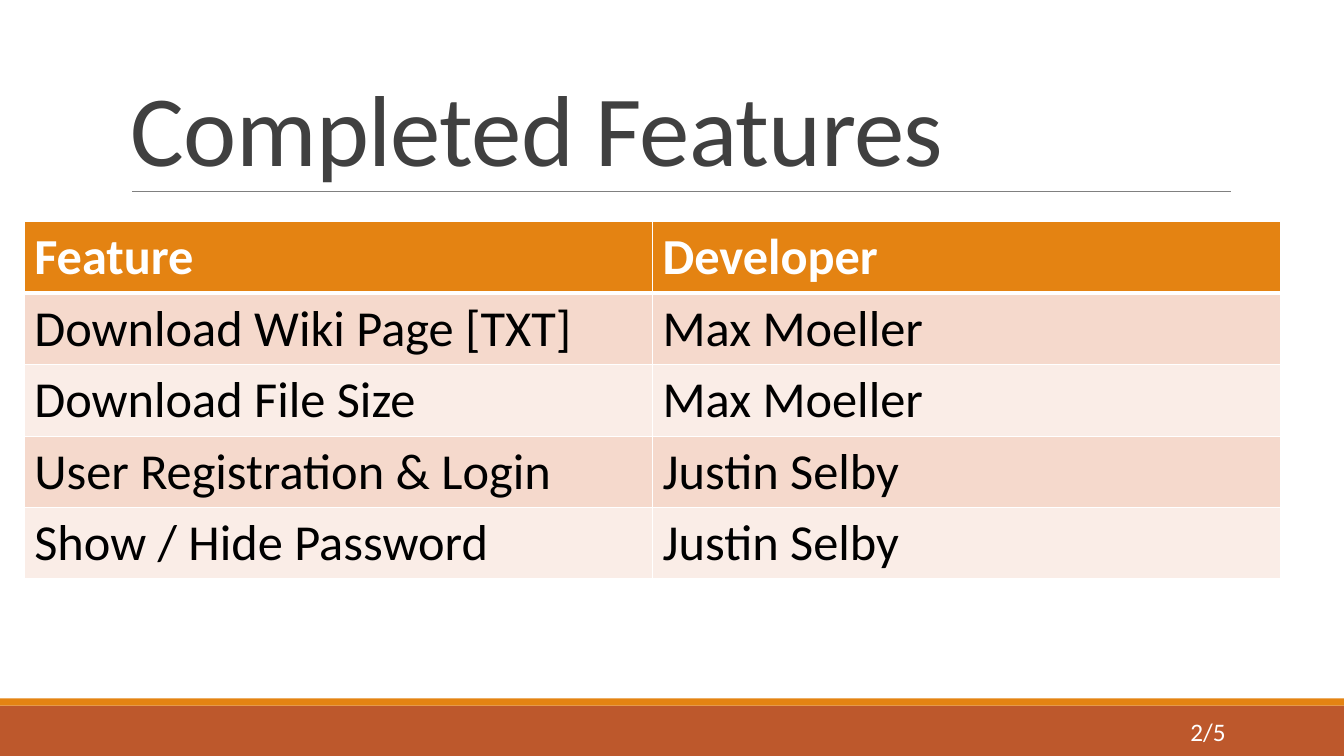
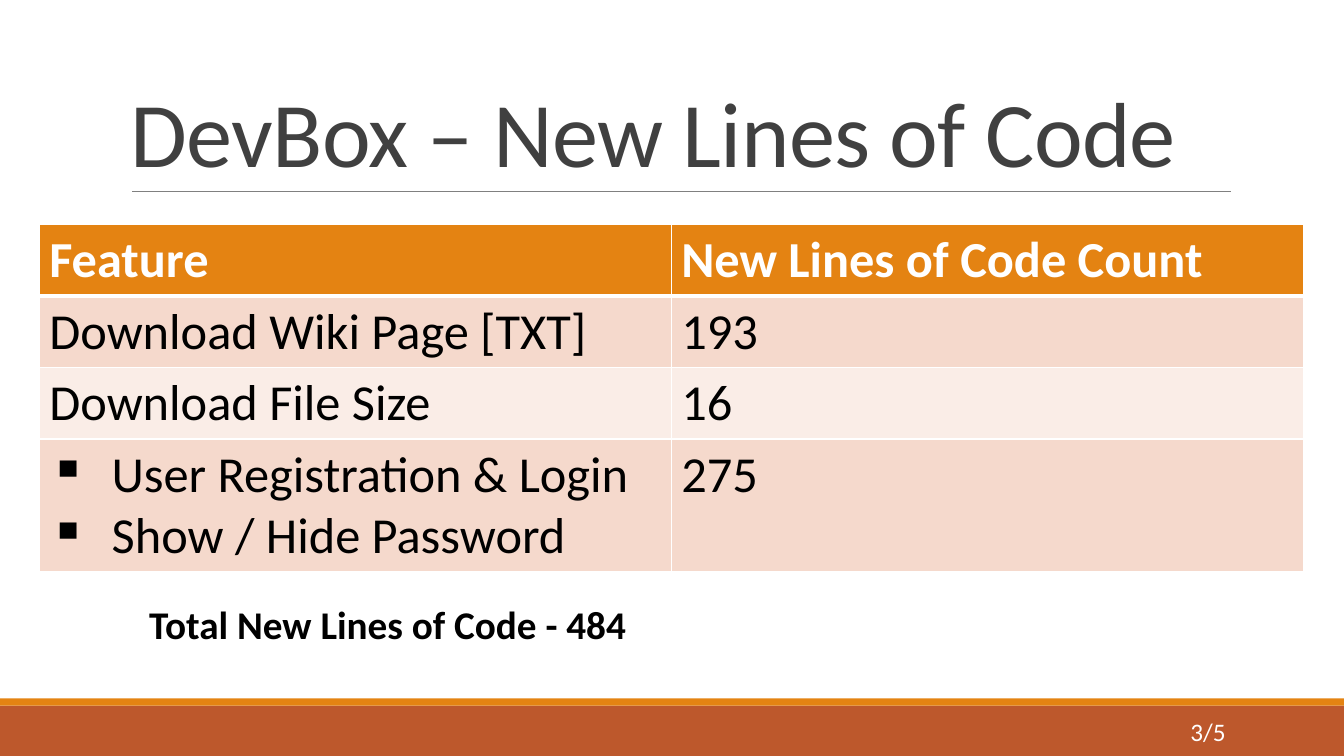
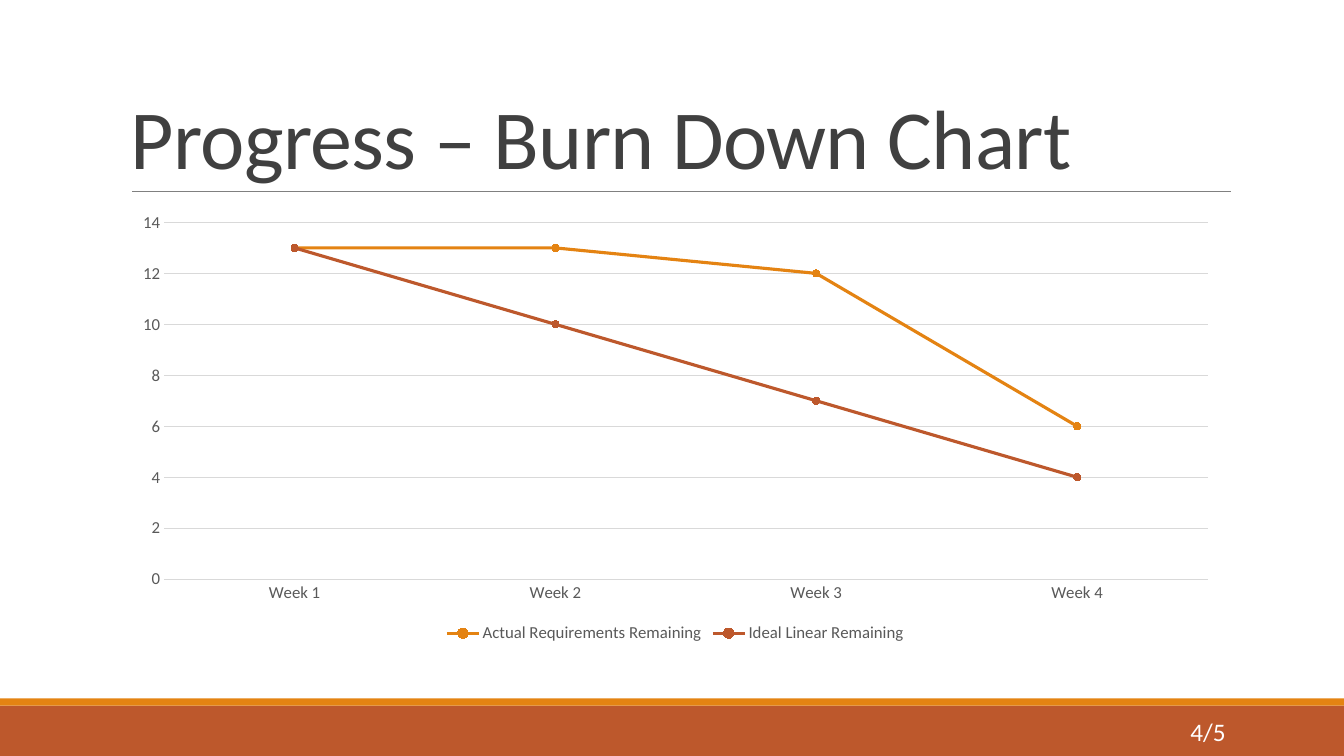
import pptx
import pptx.util
import pptx.dml.color
import pptx.chart.data
import pptx.enum.chart
import pptx.enum.shapes
import pptx.enum.text
import pptx.oxml
import pptx.oxml.ns
import lxml.etree

Cm = pptx.util.Cm
Pt = pptx.util.Pt
RGBColor = pptx.dml.color.RGBColor
Align = pptx.enum.text.PP_ALIGN
Anchor = pptx.enum.text.MSO_ANCHOR
qn = pptx.oxml.ns.qn

ORANGE = RGBColor(0xE4, 0x83, 0x12)
RUST = RGBColor(0xBD, 0x58, 0x2C)
BLUSH = RGBColor(0xF5, 0xD9, 0xCC)
CREAM = RGBColor(0xFA, 0xED, 0xE7)
WHITE = RGBColor(0xFF, 0xFF, 0xFF)
BLACK = RGBColor(0, 0, 0)
DARK = RGBColor(0x40, 0x40, 0x40)
SLATE = RGBColor(0x59, 0x59, 0x59)
GRAY = RGBColor(0x80, 0x80, 0x80)
SILVER = RGBColor(0xD9, 0xD9, 0xD9)
FONT = "Calibri"
WIDTH, HEIGHT = 33.87, 19.05
PAGES = 5


def place(box):
    return [Cm(side) for side in box]


def style(font, size, color, bold=False):
    font.name, font.size, font.bold = FONT, Pt(size), bold
    font.color.rgb = color


def write(para, text, size, color, bold=False):
    run = para.add_run()
    run.text = text
    style(run.font, size, color, bold)
    return run


def label(slide, box, text, size, color, bold=False, align=Align.LEFT, anchor=Anchor.TOP):
    frame = slide.shapes.add_textbox(*place(box)).text_frame
    frame.word_wrap = True
    frame.vertical_anchor = anchor
    para = frame.paragraphs[0]
    para.alignment = align
    return para, write(para, text, size, color, bold)


def band(slide, box, color):
    shape = slide.shapes.add_shape(pptx.enum.shapes.MSO_SHAPE.RECTANGLE, *place(box))
    shape.shadow.inherit = False
    shape.fill.solid()
    shape.fill.fore_color.rgb = color
    shape.line.fill.background()


def footer(slide, box, page):
    left, top, width, height = box
    band(slide, box, RUST)
    band(slide, (left, top - 0.18, width, 0.18), ORANGE)
    label(slide, (left + 27.51, top + 0.15, 3.63, 1.02), f"{page}/{PAGES}", 18, WHITE,
          align=Align.RIGHT, anchor=Anchor.MIDDLE)


def header(slide, box, text, size):
    left, top, width, height = box
    base = top + height
    rule = slide.shapes.add_connector(
        pptx.enum.shapes.MSO_CONNECTOR.STRAIGHT,
        *place((left + 0.28, base, left + width + 0.02, base)))
    rule.line.color.rgb = GRAY
    rule.line.width = Pt(0.5)
    lxml.etree.SubElement(rule._element.spPr, qn("a:effectLst"))
    para, run = label(slide, box, text, size, DARK, anchor=Anchor.BOTTOM)
    para.line_spacing = 0.85
    run.font._element.set("spc", "-50")


def bullet(para):
    props = para._p.get_or_add_pPr()
    props.set("marL", str(Cm(1.57)))
    props.set("indent", str(-Cm(1.57)))
    lxml.etree.SubElement(props, qn("a:buChar")).set("char", "▪")


def border(cell, edges):
    props = cell._tc.get_or_add_tcPr()
    for side, width in zip("LRTB", edges):
        line = lxml.etree.SubElement(props, qn(f"a:ln{side}"), w=str(Pt(width)))
        fill = lxml.etree.SubElement(line, qn("a:solidFill"))
        lxml.etree.SubElement(fill, qn("a:srgbClr"), val=str(WHITE))


def grid(slide, box, rows):
    left, top, width = box
    heights = [0.25 + 1.55 * max(cell.count("\n") + 1 for cell in row) for row in rows]
    table = slide.shapes.add_table(
        len(rows), len(rows[0]), *place((left, top, width, sum(heights)))).table
    table.first_row = table.horz_banding = False
    for i, row in enumerate(rows):
        table.rows[i].height = Cm(heights[i])
        head = i == 0
        fill = ORANGE if head else BLUSH if i % 2 else CREAM
        for j, text in enumerate(row):
            cell = table.cell(i, j)
            border(cell, (1, 1, 3 if i == 1 else 1, 3 if head else 1))
            cell.fill.solid()
            cell.fill.fore_color.rgb = fill
            lines = text.split("\n")
            for k, line in enumerate(lines):
                para = cell.text_frame.add_paragraph() if k else cell.text_frame.paragraphs[0]
                if len(lines) > 1:
                    bullet(para)
                write(para, line, 36, WHITE if head else BLACK, head)


def graph(slide, box, weeks, series):
    data = pptx.chart.data.CategoryChartData()
    data.categories = weeks
    for name, values, color in series:
        data.add_series(name, values)
    enums = pptx.enum.chart
    chart = slide.shapes.add_chart(enums.XL_CHART_TYPE.LINE_MARKERS, *place(box), data).chart
    chart.has_title = False
    style(chart.font, 12, SLATE)
    chart.has_legend = True
    chart.legend.position = enums.XL_LEGEND_POSITION.BOTTOM
    chart.legend.include_in_layout = False
    style(chart.legend.font, 12, SLATE)
    across, up = chart.category_axis, chart.value_axis
    for axis in (across, up):
        axis.major_tick_mark = axis.minor_tick_mark = enums.XL_TICK_MARK.NONE
        style(axis.tick_labels.font, 12, SLATE)
    up.minimum_scale, up.maximum_scale, up.major_unit = 0, 14, 2
    up.format.line.fill.background()
    for line in (across.format.line, up.major_gridlines.format.line):
        line.color.rgb = SILVER
        line.width = Pt(0.75)
    plot = chart.plots[0]
    plot.vary_by_categories = False
    for trend, (name, values, color) in zip(plot.series, series):
        trend.smooth = False
        trend.format.line.color.rgb = color
        trend.format.line.width = Pt(2.25)
        mark = trend.marker
        mark.style, mark.size = enums.XL_MARKER_STYLE.CIRCLE, 5
        mark.format.fill.solid()
        mark.format.fill.fore_color.rgb = color
        mark.format.line.color.rgb = color


def start(deck, page, title, size):
    slide = deck.slides.add_slide(deck.slide_layouts[6])
    footer(slide, (0, 17.78, WIDTH, 1.27), page)
    header(slide, (3.05, 0.79, 27.94, 4.04), title, size)
    return slide


deck = pptx.Presentation()
deck.slide_width, deck.slide_height = Cm(WIDTH), Cm(HEIGHT)

done = start(deck, 2, "Completed Features", 72)
grid(done, (0.61, 5.59, 31.67), [
    ("Feature", "Developer"),
    ("Download Wiki Page [TXT]", "Max Moeller"),
    ("Download File Size", "Max Moeller"),
    ("User Registration & Login", "Justin Selby"),
    ("Show / Hide Password", "Justin Selby"),
])

code = start(deck, 3, "DevBox – New Lines of Code", 66)
grid(code, (0.99, 5.66, 31.85), [
    ("Feature", "New Lines of Code Count"),
    ("Download Wiki Page [TXT]", "193"),
    ("Download File Size", "16"),
    ("User Registration & Login\nShow / Hide Password", "275"),
])
label(code, (3.51, 14.99, 12.95, 1.45), "Total New Lines of Code - 484", 28, BLACK, bold=True)

burn = start(deck, 4, "Progress – Burn Down Chart", 60)
graph(burn, (3.05, 5.13, 27.94, 11.18), [f"Week {n}" for n in range(1, 5)], [
    ("Actual Requirements Remaining", (13, 13, 12, 6), ORANGE),
    ("Ideal Linear Remaining", (13, 10, 7, 4), RUST),
])

deck.save("out.pptx")
